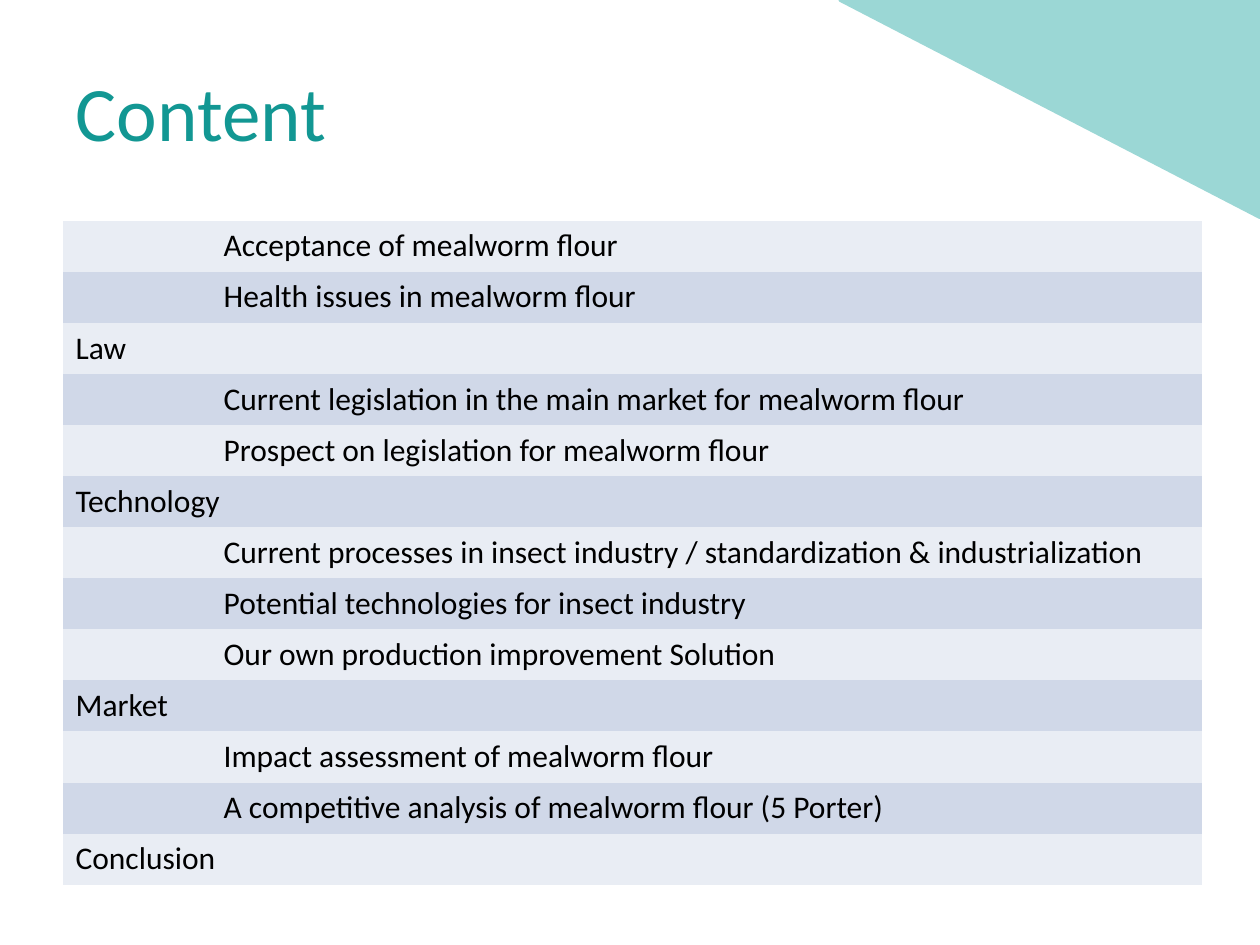
from pptx import Presentation
from pptx.dml.color import RGBColor
from pptx.enum.shapes import MSO_SHAPE
from pptx.enum.text import MSO_ANCHOR, PP_ALIGN
from pptx.oxml.ns import qn
from pptx.util import Inches, Pt

COLORS = {"title": "129793", "corner": "9BD7D5", "text": "000000",
          "light_band": "E9EDF4", "dark_band": "D0D8E8"}
FONT = "Calibri"
WIDTH, HEIGHT = 10, 7.5
PLAIN_TABLE = "{2D5ABB26-0587-4C30-8999-92F81FD0307C}"

# Each entry is (is a section heading, text)
AGENDA = [
    (False, "Acceptance of mealworm flour"),
    (False, "Health issues in mealworm flour"),
    (True, "Law"),
    (False, "Current legislation in the main market for mealworm flour"),
    (False, "Prospect on legislation for mealworm flour"),
    (True, "Technology"),
    (False, "Current processes in insect industry / standardization & industrialization"),
    (False, "Potential technologies for insect industry"),
    (False, "Our own production improvement Solution"),
    (True, "Market"),
    (False, "Impact assessment of mealworm flour"),
    (False, "A competitive analysis of mealworm flour (5 Porter)"),
    (True, "Conclusion"),
]


def color(name):
    return RGBColor.from_string(COLORS[name])


def write(frame, text, size=18, ink="text", align=PP_ALIGN.LEFT):
    para = frame.paragraphs[0]
    para.alignment = align
    span = para.add_run()
    span.text = text
    span.font.name = FONT
    span.font.size = Pt(size)
    span.font.color.rgb = color(ink)


class SlideBuilder:
    """Holds the current slide and places elements by shares of its size."""

    def __init__(self, deck):
        self.page = deck.slides.add_slide(deck.slide_layouts[5])

    def area(self, left, top, width, height):
        return (Inches(left * WIDTH), Inches(top * HEIGHT),
                Inches(width * WIDTH), Inches(height * HEIGHT))

    def title(self, text, *shares):
        box = self.page.shapes.title
        box.left, box.top, box.width, box.height = self.area(*shares)
        box.text_frame.vertical_anchor = MSO_ANCHOR.MIDDLE
        write(box.text_frame, text, size=44, ink="title")

    def corner(self, *shares):
        shape = self.page.shapes.add_shape(MSO_SHAPE.RIGHT_TRIANGLE, *self.area(*shares))
        shape.rotation = 180
        shape.shadow.inherit = False
        shape.fill.solid()
        shape.fill.fore_color.rgb = color("corner")
        shape.line.color.rgb = color("corner")
        shape.line.width = Pt(2)

    def agenda(self, entries, indent, *shares):
        left, top, width, height = self.area(*shares)
        frame = self.page.shapes.add_table(len(entries), 2, left, top, width, height)
        table = frame.table
        table.first_row = False
        table._tbl.tblPr.find(qn("a:tableStyleId")).text = PLAIN_TABLE
        table.columns[0].width = int(width * indent)
        table.columns[1].width = width - int(width * indent)
        for row, (is_heading, text) in enumerate(entries):
            label, detail = table.cell(row, 0), table.cell(row, 1)
            for cell in (label, detail):
                cell.fill.solid()
                cell.fill.fore_color.rgb = color("dark_band" if row % 2 else "light_band")
            if is_heading:
                label.merge(detail)
            write((label if is_heading else detail).text_frame, text)


deck = Presentation()
deck.slide_width, deck.slide_height = Inches(WIDTH), Inches(HEIGHT)
slide = SlideBuilder(deck)

# Heading
slide.title("Content", 0.05, 1 / 30, 0.9, 1 / 6)
# Banded agenda, with items indented under section headings
slide.agenda(AGENDA, 0.13, 0.05, 7 / 30, 0.904, 0.703)
# Corner decoration
slide.corner(2 / 3, 0, 1 / 3, 0.23)

deck.save("out.pptx")
